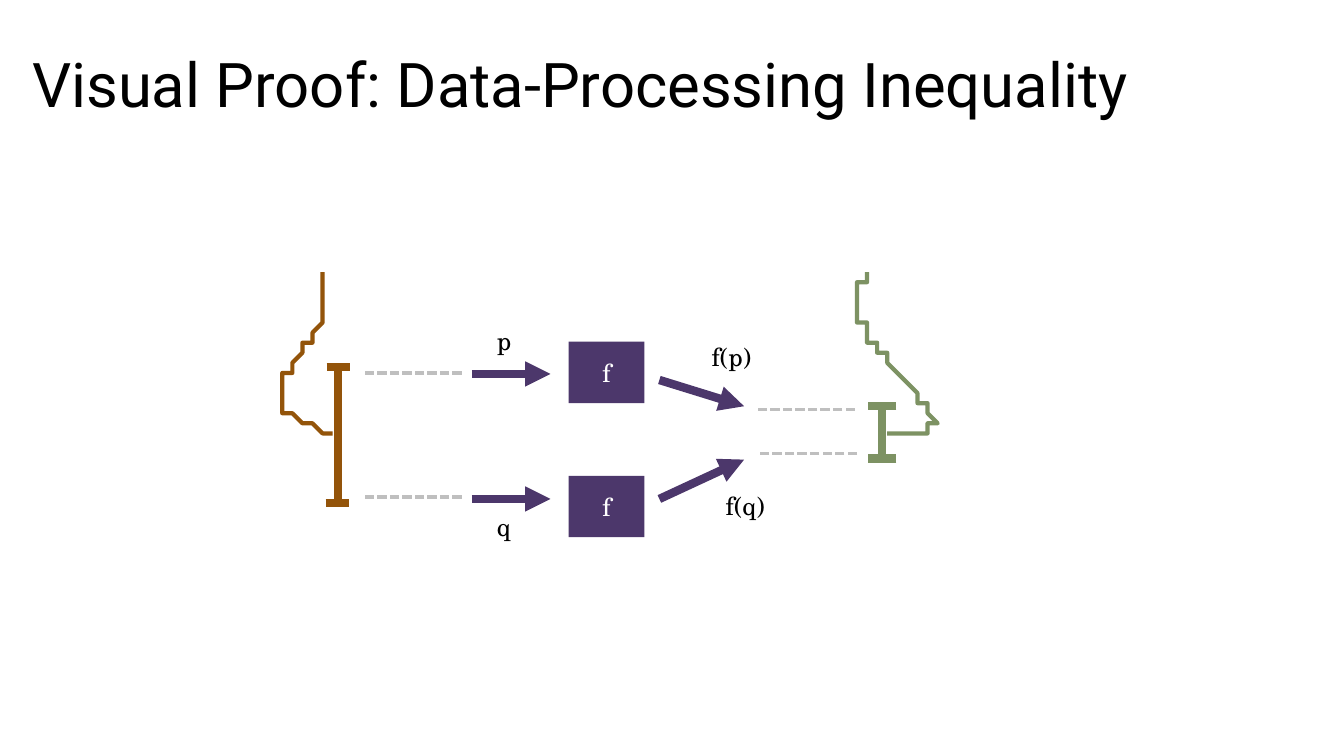
from dataclasses import dataclass
from typing import Any

from lxml.etree import SubElement
from pptx import Presentation
from pptx.dml.color import RGBColor
from pptx.enum.dml import MSO_LINE
from pptx.enum.shapes import MSO_CONNECTOR, MSO_SHAPE
from pptx.enum.text import MSO_ANCHOR, PP_ALIGN
from pptx.oxml.ns import qn
from pptx.util import Emu, Inches, Pt

Point = tuple[float, float]

# Grid: every column and row is a tenth of an inch
CELL = Inches(0.1)
COLUMNS, ROWS = 133.3, 75
PURPLE, BROWN, GREEN, GRAY = "4C376B", "93540A", "7D9263", "BFBFBF"
BLACK, WHITE = "000000", "FFFFFF"
SERIF, SANS = "TeX Gyre Schola", "Roboto"
CURVE_STEPS = 16


@dataclass
class Label:
    text: str
    left: float
    top: float
    width: float
    height: float = 4
    font: str = SERIF
    size: float = 18
    anchor: Any = MSO_ANCHOR.TOP
    spacing: float = 1.0


@dataclass
class Line:
    start: Point
    end: Point
    color: str
    width: float = 6
    dashed: bool = False
    arrow: bool = False


@dataclass
class Curve:
    points: list[Point]  # start, then two controls and an end per segment
    color: str


def cells(count: float) -> Emu:
    return Emu(round(count * CELL))


def color_of(value: str) -> RGBColor:
    return RGBColor.from_string(value)


def set_attributes(target: Any, values: dict[str, Any]) -> None:
    for name, value in values.items():
        setattr(target, name, value)


def write_text(shape: Any, label: Label, color: str, alignment: Any) -> None:
    frame = shape.text_frame
    set_attributes(frame, {"word_wrap": True, "vertical_anchor": label.anchor})
    paragraph = frame.paragraphs[0]
    set_attributes(paragraph, {"alignment": alignment, "line_spacing": label.spacing})
    run = paragraph.add_run()
    run.text = label.text
    set_attributes(run.font, {"name": label.font, "size": Pt(label.size)})
    run.font.color.rgb = color_of(color)


def add_label(slide: Any, label: Label) -> None:
    bounds = map(cells, (label.left, label.top, label.width, label.height))
    write_text(slide.shapes.add_textbox(*bounds), label, BLACK, PP_ALIGN.LEFT)


def add_box(slide: Any, label: Label) -> None:
    bounds = map(cells, (label.left, label.top, label.width, label.height))
    shape = slide.shapes.add_shape(MSO_SHAPE.RECTANGLE, *bounds)
    shape.shadow.inherit = False
    shape.fill.solid()
    shape.fill.fore_color.rgb = color_of(PURPLE)
    shape.line.fill.background()
    write_text(shape, label, WHITE, PP_ALIGN.CENTER)


def add_line(slide: Any, line: Line) -> None:
    ends = map(cells, (*line.start, *line.end))
    connector = slide.shapes.add_connector(MSO_CONNECTOR.STRAIGHT, *ends)
    connector.line.color.rgb = color_of(line.color)
    connector.line.width = Pt(line.width)
    if line.dashed:
        connector.line.dash_style = MSO_LINE.SQUARE_DOT
    properties = connector._element.spPr
    if line.arrow:
        SubElement(properties.find(qn("a:ln")), qn("a:tailEnd"), type="triangle")
    SubElement(properties, qn("a:effectLst"))


def bezier(p: list[Point], t: float) -> Point:
    u = 1 - t
    weights = (u**3, 3 * u * u * t, 3 * u * t * t, t**3)
    return (sum(w * x for w, (x, _) in zip(weights, p)),
            sum(w * y for w, (_, y) in zip(weights, p)))


def add_curve(slide: Any, curve: Curve) -> None:
    builder = slide.shapes.build_freeform(*curve.points[0], scale=CELL)
    samples = [
        bezier(curve.points[first:first + 4], step / CURVE_STEPS)
        for first in range(0, len(curve.points) - 1, 3)
        for step in range(1, CURVE_STEPS + 1)
    ]
    # Sampling at slide resolution keeps the outline smooth
    builder.add_line_segments(samples, close=False)
    shape = builder.convert_to_shape()
    shape.shadow.inherit = False
    shape.fill.background()
    shape.line.color.rgb = color_of(curve.color)
    shape.line.width = Pt(3)


TITLE = Label("Visual Proof: Data-Processing Inequality", 2.2, 1.4, 115, 14.5,
              SANS, 44, MSO_ANCHOR.MIDDLE, 0.9)
BOXES = [Label("f", 56.4, top, 7.5, 6.1, anchor=MSO_ANCHOR.MIDDLE)
         for top in (33.9, 47.2)]
LABELS = [
    Label("p", 48.3, 31.8, 4.2),
    Label("q", 48.3, 50.2, 4.2),
    Label("f(q)", 71, 48.2, 9.7),
    Label("f(p)", 69.6, 33.4, 9.7),
]
# Arrows into and out of the boxes
ARROWS = [
    Line(start, end, PURPLE, arrow=True)
    for start, end in (
        ((46.8, 37.1), (54.6, 37.1)),
        ((46.8, 49.5), (54.6, 49.5)),
        ((65.4, 49.5), (73.8, 45.6)),
        ((65.4, 37.7), (73.8, 40.3)),
    )
]
# Distance bars: a stem and two caps on each side
BARS = [
    Line((33.5, 36.4), (33.5, 50), BROWN),
    Line((87.5, 40.6), (87.5, 45.5), GREEN),
    Line((32.4, 36.4), (34.7, 36.4), BROWN),
    Line((32.3, 49.9), (34.6, 49.9), BROWN),
    Line((88.9, 40.3), (86.1, 40.3), GREEN),
    Line((88.9, 45.5), (86.1, 45.5), GREEN),
]
GUIDE_LENGTH = 9.7
GUIDES = [
    Line((right, row), (right - GUIDE_LENGTH, row), GRAY, 2.25, dashed=True)
    for right, row in ((85, 45), (84.8, 40.6), (45.8, 49.3), (45.8, 37))
]
CURVES = [
    Curve([(33.2, 43.2), (30.6, 42.2), (28.1, 41.3), (27.8, 39.4),
           (27.5, 37.6), (30.7, 34.2), (31.5, 32.1),
           (32.3, 30), (32.4, 28.3), (32.5, 26.7)], BROWN),
    Curve([(87.6, 42.9), (90.2, 43), (92.8, 43.1), (92.5, 41.4),
           (92.2, 39.7), (86.9, 35.1), (85.8, 32.6),
           (84.7, 30.2), (85.3, 28.5), (85.8, 26.8)], GREEN),
]


def main() -> None:
    presentation = Presentation()
    set_attributes(presentation, {"slide_width": cells(COLUMNS),
                                  "slide_height": cells(ROWS)})
    slide = presentation.slides.add_slide(presentation.slide_layouts[6])
    add_label(slide, TITLE)
    for box in BOXES:
        add_box(slide, box)
    for arrow in ARROWS:
        add_line(slide, arrow)
    for label in LABELS:
        add_label(slide, label)
    for line in BARS + GUIDES:
        add_line(slide, line)
    for curve in CURVES:
        add_curve(slide, curve)
    presentation.save("out.pptx")


if __name__ == "__main__":
    main()
